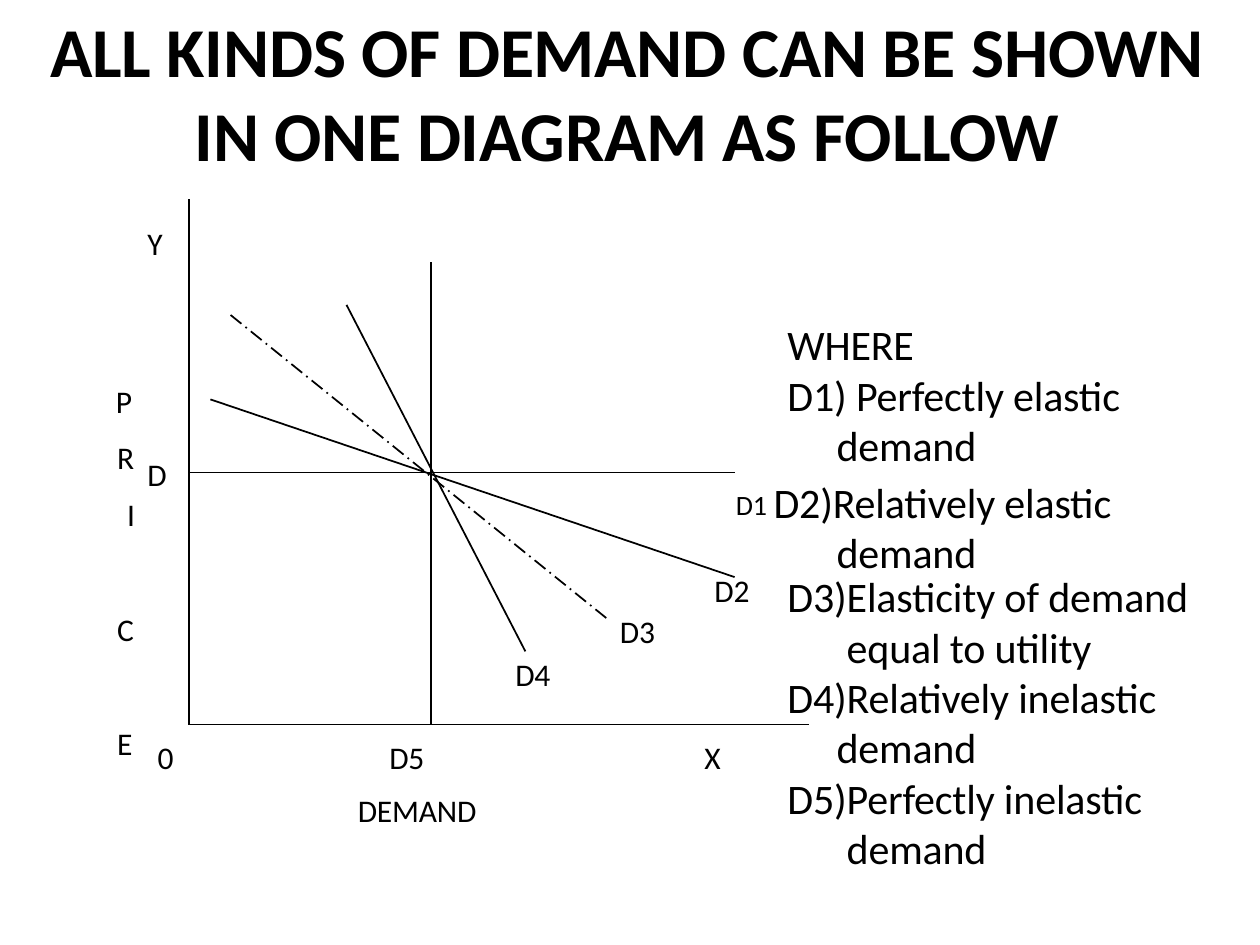
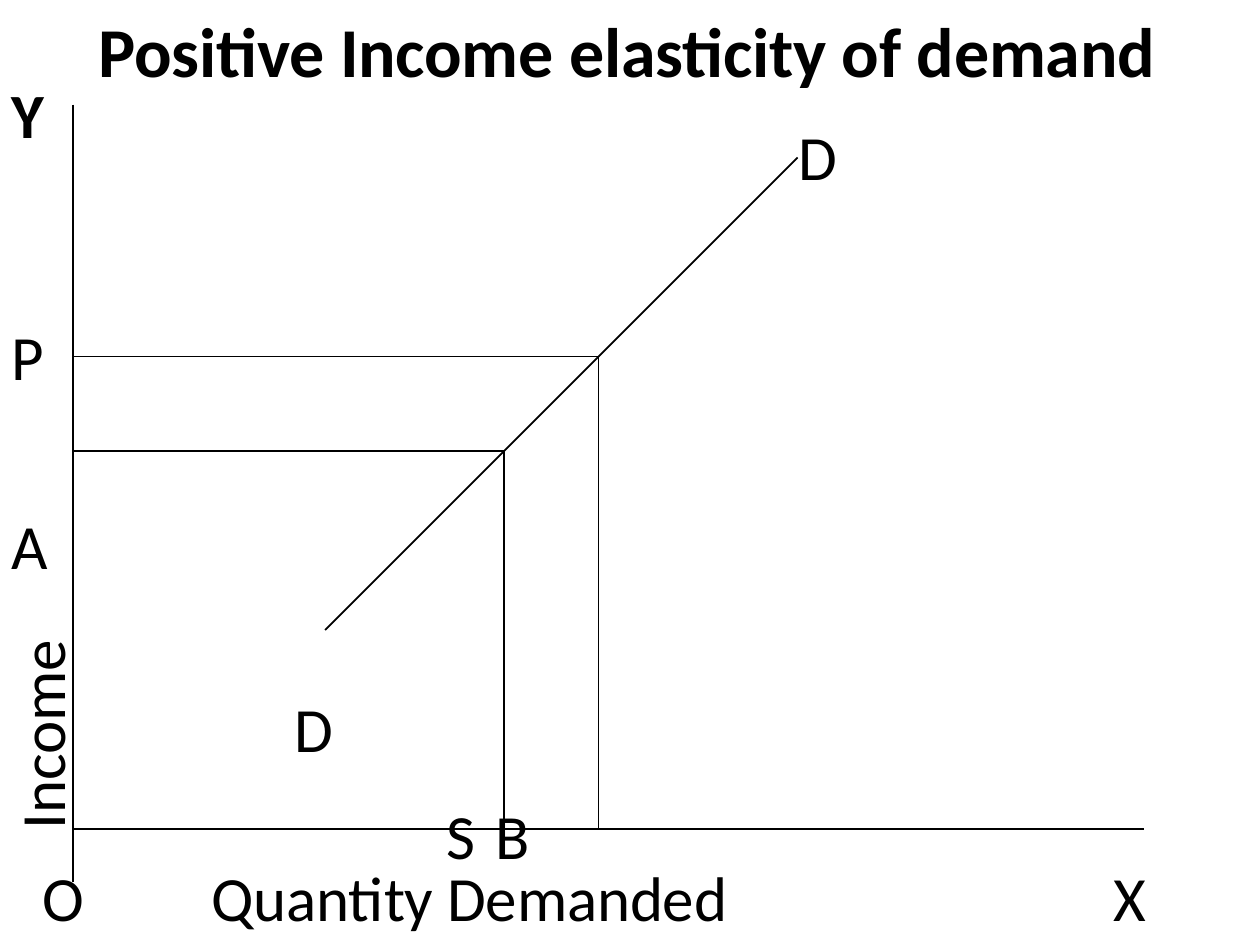
from pptx import Presentation
from pptx import util as u
from pptx.dml.color import RGBColor
from pptx.enum import dml, shapes, text
from pptx.oxml.ns import qn
from lxml import etree

COLORS = {"ink": "000000", "page": "FFFFFF"}
FONT = "Calibri"


class Deck:
    """Hold the shared style and the current slide."""

    def __init__(self):
        self.prs = Presentation()
        self.prs.slide_width = u.Inches(10)
        self.prs.slide_height = u.Inches(7.5)
        self.ink = RGBColor.from_string(COLORS["ink"])
        self.slide = None

    def start(self, title, height):
        self.slide = self.prs.slides.add_slide(self.prs.slide_layouts[5])
        fill = self.slide.background.fill
        fill.solid()
        fill.fore_color.rgb = RGBColor.from_string(COLORS["page"])
        head = self.slide.shapes.title
        self.place(head, 0.14, 0.05, 9.67, height)
        self.letter(head, [title], 40, bold=True)
        head.text_frame.paragraphs[0].alignment = text.PP_ALIGN.CENTER

    def place(self, shape, x, y, w, h):
        shape.left, shape.top = u.Inches(x), u.Inches(y)
        shape.width, shape.height = u.Inches(w), u.Inches(h)

    def letter(self, shape, lines, size, bold=False, inset=0.01):
        frame = shape.text_frame
        frame.word_wrap = True
        frame.auto_size = text.MSO_AUTO_SIZE.NONE
        frame.vertical_anchor = text.MSO_ANCHOR.TOP
        frame.margin_left = frame.margin_right = frame.margin_bottom = 0
        frame.margin_top = u.Inches(inset)
        for i, line in enumerate(lines):
            para = frame.add_paragraph() if i else frame.paragraphs[0]
            run = para.add_run()
            run.text = line
            run._r.get_or_add_rPr().set("spc", "-10")
            font = para.font
            font.name, font.size, font.bold = FONT, u.Pt(size), bold
            font.color.rgb = self.ink
        return frame

    def box(self, lines, x, y, w, h, size, **style):
        shape = self.slide.shapes.add_textbox(0, 0, 0, 0)
        self.place(shape, x, y, w, h)
        return self.letter(shape, lines, size, **style)

    def label(self, word, x, y, size, bold=False):
        width = 0.1 + len(word) * size / 120
        self.box([word], x, y, width, size / 56, size, bold=bold)

    def spaced(self, letters, x, y, size):
        frame = self.box([sign for sign, _, _ in letters], x, y, 0.3, 2.7, size)
        for para, (_, indent, gap) in zip(frame.paragraphs, letters):
            para.line_spacing = 1.5
            if gap:
                para.space_before = u.Pt(gap)
            self.indent(para, indent, 0)

    def legend(self, items, x, y, h):
        frame = self.box([item for item, _ in items], x, y, 3.23, h, 24)
        for para, (_, hang) in zip(frame.paragraphs, items):
            self.indent(para, hang, -hang)

    def indent(self, para, left, first):
        props = para._p.get_or_add_pPr()
        props.set("marL", str(u.Inches(left)))
        props.set("indent", str(u.Inches(first)))

    def upright(self, word, x, y, w, h, size):
        frame = self.box([word], x, y, w, h, size, inset=0)
        frame._txBody.find(qn("a:bodyPr")).set("vert", "vert270")
        frame.paragraphs[0].line_spacing = u.Pt(35.2)

    def line(self, x1, y1, x2, y2, dash=None):
        ends = [u.Inches(n) for n in (x1, y1, x2, y2)]
        link = self.slide.shapes.add_connector(shapes.MSO_CONNECTOR.STRAIGHT, *ends)
        link.line.color.rgb = self.ink
        link.line.width = u.Pt(1)
        if dash:
            link.line.dash_style = dash
        etree.SubElement(link._element.spPr, qn("a:effectLst"))


def kinds(deck):
    deck.start("ALL KINDS OF DEMAND CAN BE SHOWN IN ONE DIAGRAM AS FOLLOW", 1.5)
    left, base = 1.5, 5.75
    deck.line(3.42, 2.08, 3.42, base)
    deck.line(left, 1.58, left, base)
    deck.line(left, base, 6.42, base)
    deck.line(left, 3.75, 5.83, 3.75)
    deck.line(1.67, 3.17, 5.83, 4.58)
    deck.line(2.75, 2.42, 4.17, 5.17)
    deck.line(1.83, 2.5, 4.83, 4.92, dml.MSO_LINE.LONG_DASH_DOT)
    row = 5.85
    for word, x, y in [("Y", 1.17, 1.77), ("D", 1.17, 3.6), ("D2", 5.67, 4.52),
                       ("D3", 4.92, 4.85), ("D4", 4.09, 5.19), ("0", 1.25, row),
                       ("D5", 3.09, row), ("X", 5.59, row),
                       ("DEMAND", 2.84, 6.27), ("P", 0.92, 3.02)]:
        deck.label(word, x, y, 18)
    deck.label("D1", 5.84, 3.86, 16)
    deck.spaced([("R", 0, 0), ("I", 0.08, 0), ("C", 0, 33), ("E", 0, 33)],
                0.93, 3.32, 18)
    deck.legend([("WHERE", 0), ("D1) Perfectly elastic demand", 0.39)],
                6.25, 2.52, 1.23)
    deck.legend([("D2)Relatively elastic demand", 0.5)], 6.14, 3.77, 0.83)
    deck.legend([("D3)Elasticity of demand equal to utility", 0.47),
                 ("D4)Relatively inelastic demand", 0.39),
                 ("D5)Perfectly inelastic demand", 0.47)], 6.25, 4.52, 2.43)


def income(deck):
    deck.start("Positive Income elasticity of demand", 0.69)
    left, base = 0.58, 6.58
    deck.line(left, 0.83, left, 7)
    deck.line(left, base, 9.08, base)
    deck.line(2.58, 5, 6.33, 1.25)
    for x, y in [(4.75, 2.83), (4, 3.58)]:
        deck.line(left, y, x, y)
        deck.line(x, y, x, base)
    deck.label("Y", 0.09, 0.59, 36, bold=True)
    row = 6.8
    for word, x, y in [("D", 6.34, 0.92), ("P", 0.09, 2.51), ("A", 0.09, 4.01),
                       ("D", 2.34, 5.46), ("S", 3.54, 6.31), ("B", 3.93, 6.31),
                       ("O", 0.34, row), ("Quantity Demanded", 1.68, row),
                       ("X", 8.84, row)]:
        deck.label(word, x, y, 36)
    deck.upright("Income", 0.13, 5.04, 0.53, 1.54, 36)


def main():
    deck = Deck()
    kinds(deck)
    income(deck)
    deck.prs.save("out.pptx")


if __name__ == "__main__":
    main()
